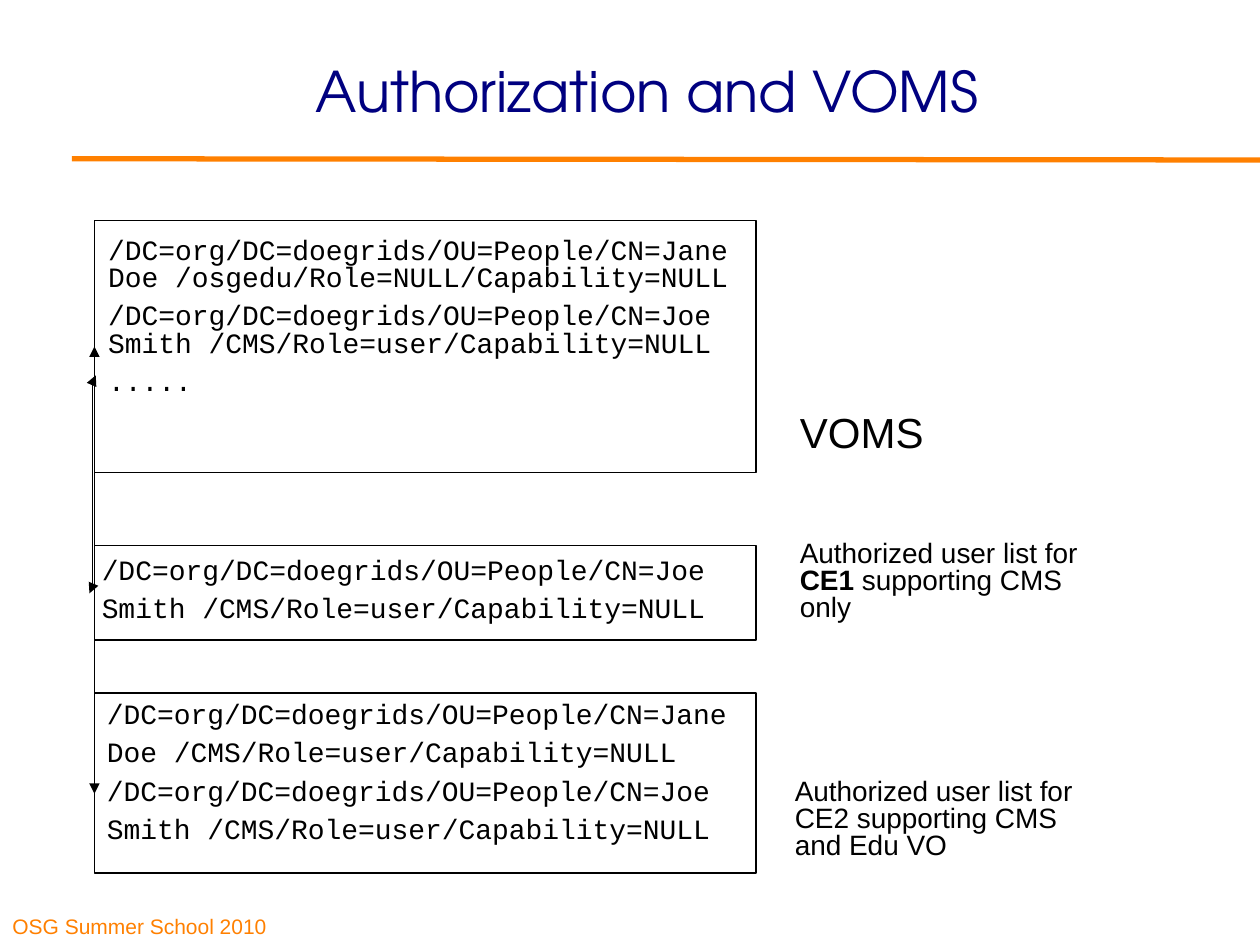
"""Build the slide on authorization and VOMS."""
from dataclasses import dataclass

from lxml import etree
from pptx import Presentation, util as u
from pptx.dml.color import RGBColor
from pptx.enum import shapes, text
from pptx.oxml.ns import qn

SCALE = 9144


@dataclass(frozen=True)
class Theme:
    ink: str = "000000"
    navy: str = "000080"
    accent: str = "FF8000"
    sans: str = "Arial"
    mono: str = "Courier New"
    display: str = "TeX Gyre Adventor"
    small: int = 12
    body: int = 16
    label: int = 24
    title: int = 32
    thin: float = 0.75
    rule: float = 3
    gap: int = 6
    pad_x: int = 10
    pad_y: int = 5


THEME = Theme()


@dataclass(frozen=True)
class Box:
    left: int
    top: int
    width: int
    height: int


@dataclass(frozen=True)
class Note:
    box: Box
    lines: tuple[str, ...]
    size: int = THEME.body
    face: str = THEME.sans
    color: str = THEME.ink
    space: float = 0.81
    bold: str = ""
    wrap: bool = True
    pad: bool = True
    align: text.PP_ALIGN = text.PP_ALIGN.LEFT
    anchor: text.MSO_ANCHOR = text.MSO_ANCHOR.TOP


@dataclass(frozen=True)
class Link:
    start: tuple[int, int]
    end: tuple[int, int]
    kind: shapes.MSO_CONNECTOR = shapes.MSO_CONNECTOR.ELBOW
    color: str = THEME.ink
    width: float = THEME.thin
    heads: bool = True


JANE = "/DC=org/DC=doegrids/OU=People/CN=Jane"
JOE = "/DC=org/DC=doegrids/OU=People/CN=Joe"
SMITH = "Smith /CMS/Role=user/Capability=NULL"

FRAMES = [Box(75, top, 525, tall) for top, tall in ((175, 200), (433, 75), (550, 143))]
NOTES = [
    Note(Box(0, 708, 248, 42), ("OSG Summer School 2010",), THEME.small,
         color=THEME.accent, space=1.0, anchor=text.MSO_ANCHOR.BOTTOM),
    Note(Box(134, 17, 759, 115), ("Authorization and VOMS",), THEME.title,
         THEME.display, THEME.navy, 0.93, pad=False,
         align=text.PP_ALIGN.CENTER, anchor=text.MSO_ANCHOR.MIDDLE),
    Note(Box(76, 184, 524, 230),
         (f"{JANE} Doe /osgedu/Role=NULL/Capability=NULL", f"{JOE} {SMITH}", "....."),
         face=THEME.mono, space=0.82),
    Note(Box(625, 325, 125, 47), ("VOMS",), THEME.label),
    Note(Box(625, 425, 250, 77),
         ("Authorized user list for CE1 supporting CMS only",), bold="CE1"),
    Note(Box(71, 438, 513, 65), (JOE, SMITH),
         face=THEME.mono, space=0.82, wrap=False),
    Note(Box(75, 553, 526, 156),
         (JANE, "Doe /CMS/Role=user/Capability=NULL", JOE, SMITH),
         face=THEME.mono, space=0.82, wrap=False),
    Note(Box(621, 614, 250, 77),
         ("Authorized user list for CE2 supporting CMS and Edu VO",)),
]
RULE = Link((57, 126), (1000, 127), shapes.MSO_CONNECTOR.STRAIGHT,
            THEME.accent, THEME.rule, False)
LINKS = [Link((71, 471), (76, 298)), Link((75, 630), (75, 275))]


def px(*nums: int) -> list[int]:
    return [u.Emu(num * SCALE) for num in nums]


def place(box: Box) -> list[int]:
    return px(box.left, box.top, box.width, box.height)


def apply(target, form: dict) -> None:
    for name, value in form.items():
        setattr(target, name, value)


def stroke(line, color: str, width: float) -> None:
    line.color.rgb = RGBColor.from_string(color)
    line.width = u.Pt(width)


def draw_frame(slide, box: Box) -> None:
    shape = slide.shapes.add_shape(shapes.MSO_SHAPE.ROUNDED_RECTANGLE, *place(box))
    shape.adjustments[0] = 0
    shape.shadow.inherit = False
    shape.fill.background()
    stroke(shape.line, THEME.ink, THEME.thin)


def split(line: str, bold: str) -> list[tuple[str, bool]]:
    if not bold:
        return [(line, False)]
    head, word, tail = line.partition(bold)
    return [(head, False), (word, True), (tail, False)]


def draw_note(slide, note: Note) -> None:
    frame = slide.shapes.add_textbox(*place(note.box)).text_frame
    side, edge = px(THEME.pad_x, THEME.pad_y) if note.pad else (0, 0)
    apply(frame, {
        "word_wrap": note.wrap, "vertical_anchor": note.anchor,
        "margin_left": side, "margin_right": side,
        "margin_top": edge, "margin_bottom": edge,
    })
    for index, line in enumerate(note.lines):
        para = frame.add_paragraph() if index else frame.paragraphs[0]
        apply(para, {
            "alignment": note.align, "line_spacing": note.space,
            "space_before": u.Pt(THEME.gap if index else 0),
        })
        for words, bold in split(line, note.bold):
            run = para.add_run()
            run.text = words
            apply(run.font, {"name": note.face, "size": u.Pt(note.size), "bold": bold})
            run.font.color.rgb = RGBColor.from_string(note.color)


def draw_link(slide, link: Link) -> None:
    wire = slide.shapes.add_connector(link.kind, *px(*link.start, *link.end))
    stroke(wire.line, link.color, link.width)
    if link.heads:
        for tag in ("a:headEnd", "a:tailEnd"):
            etree.SubElement(wire.line._ln, qn(tag), type="triangle")
    etree.SubElement(wire._element.spPr, qn("a:effectLst"))


def main() -> None:
    deck = Presentation()
    deck.slide_width, deck.slide_height = px(1000, 750)
    slide = deck.slides.add_slide(deck.slide_layouts[6])
    draw_link(slide, RULE)
    for frame in FRAMES:
        draw_frame(slide, frame)
    for note in NOTES:
        draw_note(slide, note)
    for link in LINKS:
        draw_link(slide, link)
    deck.save("out.pptx")


if __name__ == "__main__":
    main()
